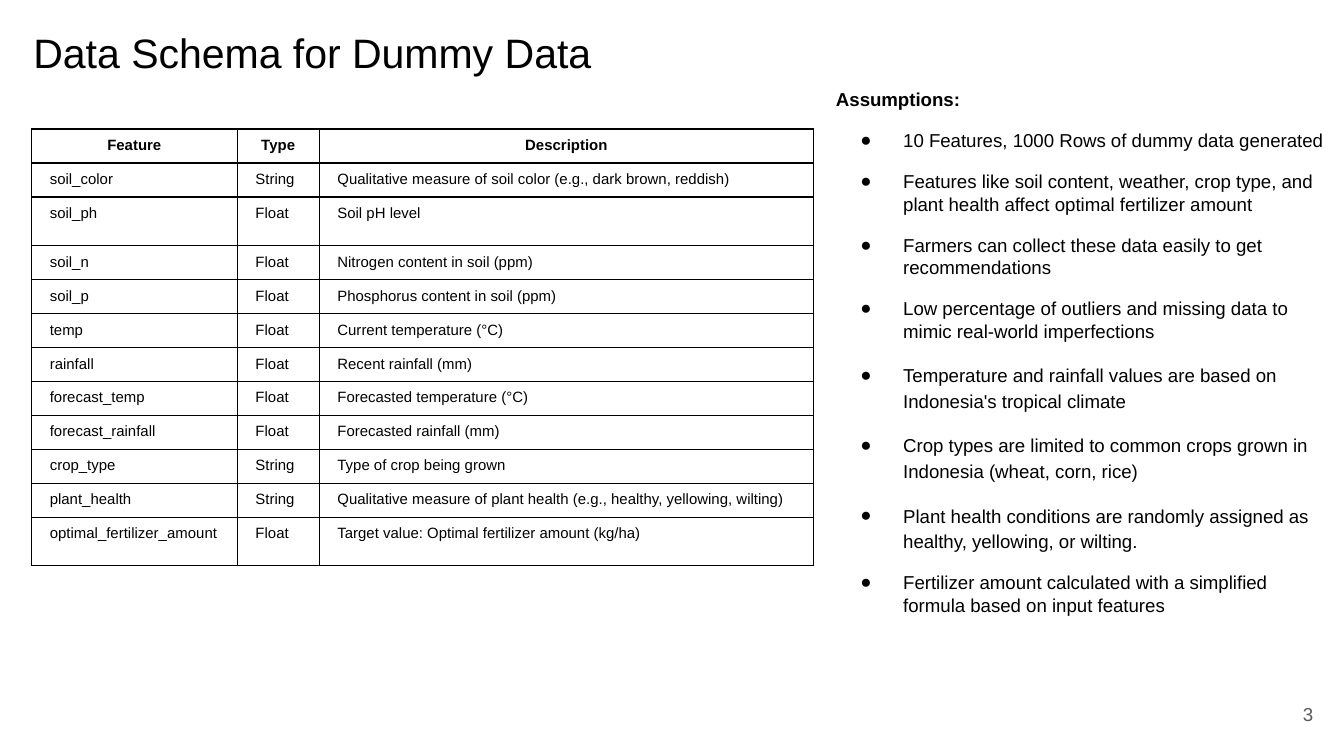
"""Build the data schema slide with its feature table and assumptions."""
from lxml import etree
from pptx import Presentation
from pptx import util as u
from pptx.dml import color
from pptx.enum import text
from pptx.oxml import ns

Pt = u.Pt
HUES = {"ink": "000000", "page": "FFFFFF", "grey": "595959"}
ALIGN, ANCHOR = text.PP_ALIGN, text.MSO_ANCHOR

FEATS = [
    ("Feature", "Type", "Description"),
    ("soil_color", "String", "Qualitative measure of soil color (e.g., dark brown, reddish)"),
    ("soil_ph", "Float", "Soil pH level"),
    ("soil_n", "Float", "Nitrogen content in soil (ppm)"),
    ("soil_p", "Float", "Phosphorus content in soil (ppm)"),
    ("temp", "Float", "Current temperature (°C)"),
    ("rainfall", "Float", "Recent rainfall (mm)"),
    ("forecast_temp", "Float", "Forecasted temperature (°C)"),
    ("forecast_rainfall", "Float", "Forecasted rainfall (mm)"),
    ("crop_type", "String", "Type of crop being grown"),
    ("plant_health", "String", "Qualitative measure of plant health (e.g., healthy, yellowing, wilting)"),
    ("optimal_fertilizer_amount", "Float", "Target value: Optimal fertilizer amount (kg/ha)"),
]
TALL = ("soil_ph", "optimal_fertilizer_amount")
NOTES = [
    ("10 Features, 1000 Rows of dummy data generated", 1.0),
    ("Features like soil content, weather, crop type, and plant health affect optimal fertilizer amount", 1.0),
    ("Farmers can collect these data easily to get recommendations", 1.0),
    ("Low percentage of outliers and missing data to mimic real-world imperfections", 1.0),
    ("Temperature and rainfall values are based on Indonesia's tropical climate", 1.15),
    ("Crop types are limited to common crops grown in Indonesia (wheat, corn, rice)", 1.15),
    ("Plant health conditions are randomly assigned as healthy, yellowing, or wilting.", 1.15),
    ("Fertilizer amount calculated with a simplified formula based on input features", 1.0),
]


def write(para, words, size, hue="ink", bold=False, align=ALIGN.LEFT):
    para.alignment = align
    run = para.add_run()
    run.text = words
    look = {"name": "Arial", "size": Pt(size), "bold": bold}
    for key, val in look.items():
        setattr(run.font, key, val)
    run.font.color.rgb = color.RGBColor.from_string(HUES[hue])


def add_box(area, anchor=ANCHOR.TOP):
    frame = slide.shapes.add_textbox(*map(Pt, area)).text_frame
    form = {"word_wrap": True, "vertical_anchor": anchor}
    form.update({f"margin_{side}": Pt(7.2) for side in ("left", "right", "top", "bottom")})
    for key, val in form.items():
        setattr(frame, key, val)
    return frame


deck = Presentation()
deck.slide_width, deck.slide_height = Pt(720), Pt(405)
slide = deck.slides.add_slide(deck.slide_layouts[6])
slide.background.fill.solid()
slide.background.fill.fore_color.rgb = color.RGBColor.from_string(HUES["page"])

title = add_box((10.8, 5, 671, 45.4), ANCHOR.MIDDLE)
write(title.paragraphs[0], "Data Schema for Dummy Data", 22)

wide = (110.2, 43.9, 265)
high = [26 if row[0] in TALL else 18.2 for row in FEATS]
table = slide.shapes.add_table(
    len(FEATS), len(wide), Pt(16.9), Pt(69.1), Pt(sum(wide)), Pt(sum(high))).table
table.first_row = table.horz_banding = False
for col, size in zip(table.columns, wide):
    col.width = Pt(size)
form = {"margin_left": Pt(9.8), "margin_right": Pt(9.8),
        "margin_top": Pt(4.3), "margin_bottom": Pt(4.3)}
for r, row in enumerate(FEATS):
    table.rows[r].height = Pt(high[r])
    for c, words in enumerate(row):
        cell = table.cell(r, c)
        for key, val in form.items():
            setattr(cell, key, val)
        head = r == 0
        write(cell.text_frame.paragraphs[0], words, 8, bold=head,
              align=ALIGN.CENTER if head else ALIGN.LEFT)
        props = cell._tc.get_or_add_tcPr()
        for side in ("lnL", "lnR", "lnT", "lnB"):
            line = etree.SubElement(props, ns.qn(f"a:{side}"), w=str(Pt(0.75)))
            fill = etree.SubElement(line, ns.qn("a:solidFill"))
            etree.SubElement(fill, ns.qn("a:srgbClr"), val=HUES["ink"])
        if r == len(FEATS) - 1:
            cell.fill.solid()
            cell.fill.fore_color.rgb = color.RGBColor.from_string(HUES["page"])
        else:
            cell.fill.background()

notes = add_box((440.8, 39.8, 279.2, 298.8))
write(notes.paragraphs[0], "Assumptions:", 10, bold=True)
for words, space in NOTES:
    para = notes.add_paragraph()
    para.space_before, para.line_spacing = Pt(10), space
    write(para, words, 10)
    props = para._p.get_or_add_pPr()
    props.set("marL", str(Pt(36)))
    props.set("indent", str(Pt(-22.9)))
    tint = etree.SubElement(props, ns.qn("a:buClr"))
    etree.SubElement(tint, ns.qn("a:srgbClr"), val=HUES["ink"])
    etree.SubElement(props, ns.qn("a:buFont"), typeface="Arial")
    etree.SubElement(props, ns.qn("a:buChar"), char="●")

page = add_box((667.4, 367.2, 43.2, 31), ANCHOR.MIDDLE)
write(page.paragraphs[0], "3", 10, "grey", align=ALIGN.RIGHT)

deck.save("out.pptx")
